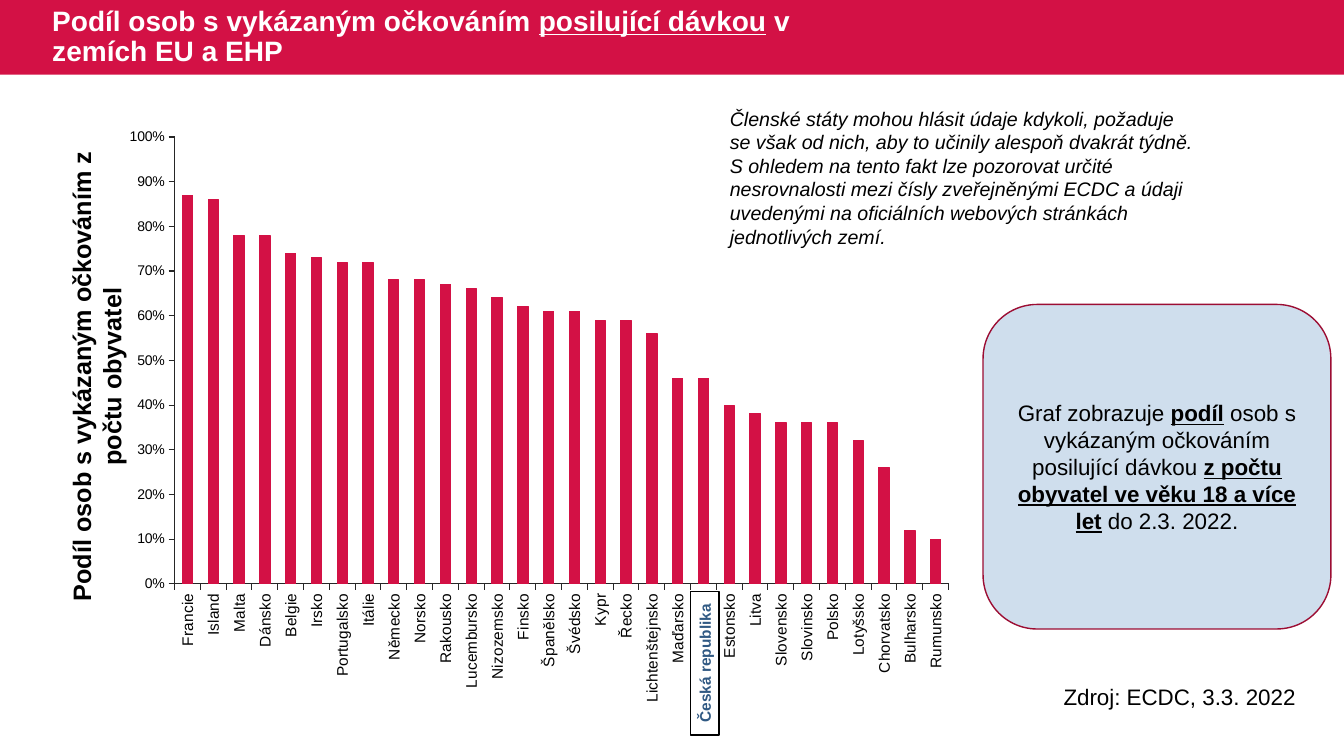
"""Build a slide charting booster vaccination shares across EU and EEA countries."""
import pptx
import pptx.chart.data
import pptx.dml.color
import pptx.enum.chart
import pptx.enum.shapes
import pptx.enum.text
import pptx.oxml
import pptx.oxml.ns
import pptx.util
from pptx.util import Inches

COLORS = {
    "red": "D31145", "dark_red": "9C0D33", "pale_blue": "CFDEED", "blue": "305983",
    "white": "FFFFFF", "black": "000000", "axis": "262626", "grey": "404040",
}
SHAPES = pptx.enum.shapes.MSO_SHAPE
ANCHOR = pptx.enum.text.MSO_ANCHOR
CENTER = pptx.enum.text.PP_ALIGN.CENTER


def color(name):
    return pptx.dml.color.RGBColor.from_string(COLORS[name])


def write(shape, spans, size, ink="black", align=None, anchor=ANCHOR.TOP):
    frame = shape.text_frame
    frame.word_wrap = True
    frame.vertical_anchor = anchor
    para = frame.paragraphs[0]
    para.alignment = align
    for text, style in spans:
        span = para.add_run()
        span.text = text
        span.font.name = "Arial"
        span.font.size = pptx.util.Pt(size)
        span.font.color.rgb = color(ink)
        span.font.bold = "b" in style
        span.font.italic = "i" in style
        span.font.underline = "u" in style
    return para


deck = pptx.Presentation()
deck.slide_width, deck.slide_height = Inches(13.33), Inches(7.5)
page = deck.slides.add_slide(deck.slide_layouts[6])

boxes = {}
for name, kind, left, top, width, height, fill, line in [
    ("banner", SHAPES.RECTANGLE, 0, 0, 13.33, 0.74, "red", None),
    ("axis_title", None, -1.55, 3.38, 5.02, 0.71, None, None),
    ("chart", "chart", 1.16, 1.08, 8.4, 5.95, None, None),
    ("summary", SHAPES.ROUNDED_RECTANGLE, 9.75, 3.02, 3.45, 3.22, "pale_blue", "dark_red"),
    ("title", None, 0.42, 0, 8.16, 0.74, None, None),
    ("czech_label", SHAPES.RECTANGLE, 6.28, 6.44, 1.42, 0.28, "white", "black"),
    ("source", None, 10.45, 6.73, 3.13, 0.37, None, None),
    ("note", None, 7.14, 1.01, 4.86, 1.51, None, None),
]:
    place = [Inches(length) for length in (left, top, width, height)]
    if kind == "chart":
        shares = {
            "Francie": 0.87, "Island": 0.86, "Malta": 0.78, "Dánsko": 0.78, "Belgie": 0.74,
            "Irsko": 0.73, "Portugalsko": 0.72, "Itálie": 0.72, "Německo": 0.68,
            "Norsko": 0.68, "Rakousko": 0.67, "Lucembursko": 0.66, "Nizozemsko": 0.64,
            "Finsko": 0.62, "Španělsko": 0.61, "Švédsko": 0.61, "Kypr": 0.59, "Řecko": 0.59,
            "Lichtenštejnsko": 0.56, "Maďarsko": 0.46, "Česká republika": 0.46,
            "Estonsko": 0.4, "Litva": 0.38, "Slovensko": 0.36, "Slovinsko": 0.36,
            "Polsko": 0.36, "Lotyšsko": 0.32, "Chorvatsko": 0.26, "Bulharsko": 0.12,
            "Rumunsko": 0.1,
        }
        data = pptx.chart.data.CategoryChartData(number_format="0%")
        data.categories = list(shares)
        data.add_series("Series 1", list(shares.values()))
        chart = page.shapes.add_chart(
            pptx.enum.chart.XL_CHART_TYPE.COLUMN_CLUSTERED, *place, data).chart
        continue
    if kind is None:
        boxes[name] = page.shapes.add_textbox(*place)
        continue
    shape = boxes[name] = page.shapes.add_shape(kind, *place)
    shape.shadow.inherit = False
    shape.fill.solid()
    shape.fill.fore_color.rgb = color(fill)
    if line:
        shape.line.color.rgb = color(line)
        shape.line.width = pptx.util.Pt(1)
    else:
        shape.line.fill.background()

chart.has_title = False
chart.has_legend = False
chart.font.name = "Arial"
chart.font.size = pptx.util.Pt(10)
chart.font.color.rgb = color("grey")
for axis, size in [(chart.category_axis, 11), (chart.value_axis, 10)]:
    axis.has_major_gridlines = False
    axis.major_tick_mark = pptx.enum.chart.XL_TICK_MARK.OUTSIDE
    axis.format.line.color.rgb = color("axis")
    axis.format.line.width = pptx.util.Pt(0.75)
    axis.tick_labels.font.name = "Arial"
    axis.tick_labels.font.size = pptx.util.Pt(size)
    axis.tick_labels.font.color.rgb = color("black")
chart.category_axis.tick_labels.font._element.getparent().getparent().getparent().find(
    pptx.oxml.ns.qn("a:bodyPr")).set("rot", "-5400000")
chart.value_axis.minimum_scale = 0
chart.value_axis.maximum_scale = 1
chart.value_axis.major_unit = 0.1
chart.value_axis.tick_labels.number_format = "0%"
chart.value_axis.tick_labels.number_format_is_linked = False

plot = chart.plots[0]
plot.gap_width = 150
plot.vary_by_categories = False
columns = plot.series[0].format
columns.fill.solid()
columns.fill.fore_color.rgb = color("red")
columns.line.color.rgb = color("red")
columns.line.width = pptx.util.Pt(0.75)

plot_area = chart._chartSpace.chart.plotArea
for old_layout in plot_area.findall(pptx.oxml.ns.qn("c:layout")):
    plot_area.remove(old_layout)
plot_area.insert(0, pptx.oxml.parse_xml(
    f'<c:layout {pptx.oxml.ns.nsdecls("c")}><c:manualLayout>'
    '<c:layoutTarget val="inner"/><c:xMode val="edge"/><c:yMode val="edge"/>'
    '<c:x val="0.068"/><c:y val="0.047"/><c:w val="0.914"/><c:h val="0.745"/>'
    '</c:manualLayout></c:layout>'))

boxes["axis_title"].rotation = boxes["czech_label"].rotation = 270
write(boxes["axis_title"], [("Podíl osob s vykázaným očkováním z počtu obyvatel", "b")],
      18, align=CENTER)
write(boxes["summary"], [
    ("Graf zobrazuje ", ""), ("podíl", "bu"), (" ", "b"),
    ("osob s\u00a0vykázaným očkováním posilující\u00a0dávkou ".replace("\u00a0", " "), ""),
    ("z počtu obyvatel ve věku 18 a více let", "bu"), (" do 2.3. 2022.", ""),
], 16, align=CENTER, anchor=ANCHOR.MIDDLE)
title = write(boxes["title"], [
    ("Podíl osob s vykázaným očkováním ", "b"), ("posilující dávkou", "bu"),
    (" v zemích EU a EHP", "b"),
], 20, "white", anchor=ANCHOR.MIDDLE)
title.line_spacing = 0.9
write(boxes["czech_label"], [("Česká republika", "b")], 11, "blue", CENTER, ANCHOR.MIDDLE)
write(boxes["source"], [("Zdroj: ECDC, 3.3. 2022", "")], 16)
write(boxes["note"], [(
    "Členské státy mohou hlásit údaje kdykoli, požaduje se však od nich, aby to učinily "
    "alespoň dvakrát týdně. S ohledem na tento fakt lze pozorovat určité nesrovnalosti "
    "mezi čísly zveřejněnými ECDC a údaji uvedenými na oficiálních webových stránkách "
    "jednotlivých zemí.", "i")], 14)

deck.save("out.pptx")
